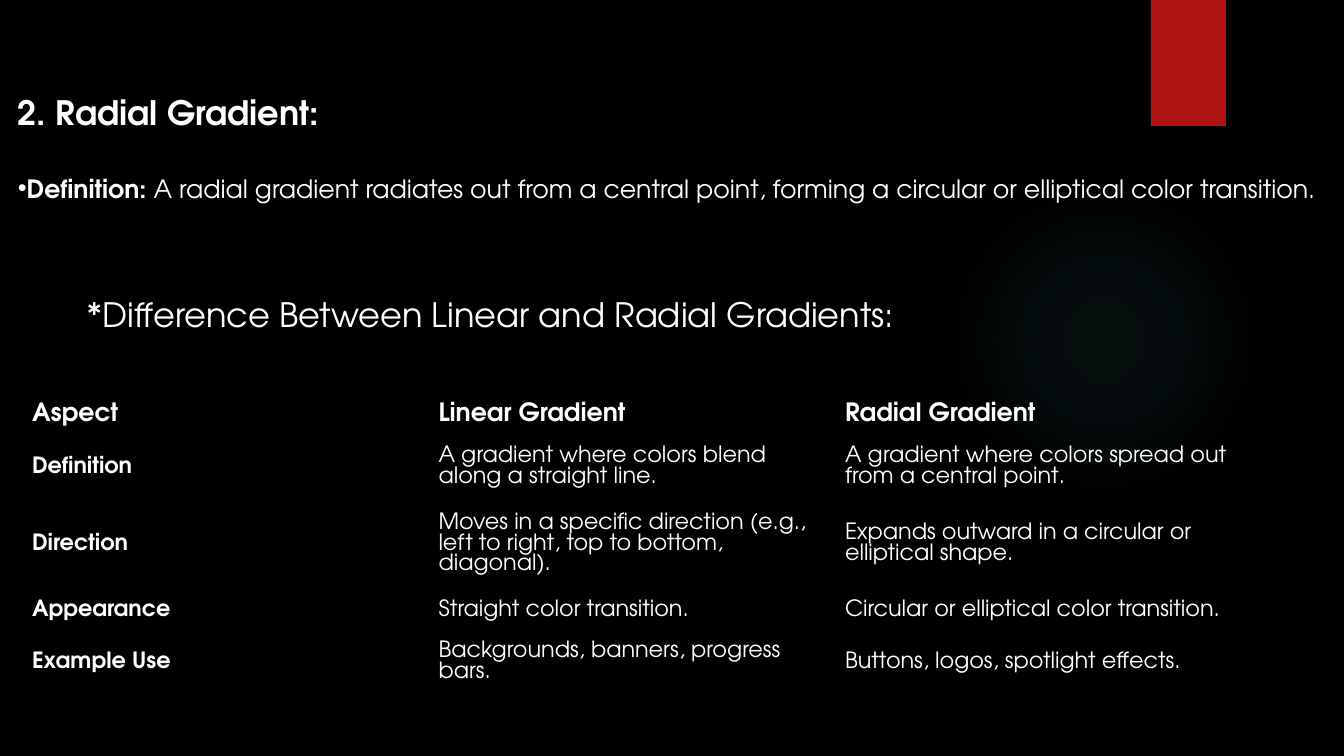
from dataclasses import dataclass

from lxml import etree
from pptx import Presentation
from pptx import util as u
from pptx.dml.color import RGBColor
from pptx.enum import shapes, text
from pptx.oxml import ns

HEADING = "2. Radial Gradient:"
DEFINITION = ("Definition:", " A radial gradient radiates out from a central point, "
              "forming a circular or elliptical color transition.")
COMPARISON_TITLE = "*Difference Between Linear and Radial Gradients:"
COMPARISON = [
    ("Aspect", "Linear Gradient", "Radial Gradient"),
    ("Definition", "A gradient where colors blend along a straight line.",
     "A gradient where colors spread out from a central point."),
    ("Direction", "Moves in a specific direction (e.g., left to right, top to bottom, diagonal).",
     "Expands outward in a circular or elliptical shape."),
    ("Appearance", "Straight color transition.", "Circular or elliptical color transition."),
    ("Example Use", "Backgrounds, banners, progress bars.", "Buttons, logos, spotlight effects."),
]
ROW_HEIGHTS = (36, 68, 86, 46, 58)
COLUMN_WIDTH = 406.5
GLOW_STOPS = [(0, 7), (36, 6), (69, 0)]  # position %, opacity %


@dataclass(frozen=True)
class Theme:
    font: str = "TeX Gyre Adventor"
    bullet_font: str = "Arial"
    background: str = "000000"
    ink: str = "FFFFFF"
    ribbon: str = "B01513"
    glow: str = "50B9C1"
    title: int = 24
    lead: int = 18
    body: int = 16


THEME = Theme()


def px(length):
    return u.Emu(round(length * 914400 / 100.8))


def box(*lengths):
    return [px(length) for length in lengths]


def write(paragraph, words, size=THEME.body, bold=False):
    run = paragraph.add_run()
    run.text = words
    run.font.name = THEME.font
    run.font.size = u.Pt(size)
    run.font.bold = bold
    run.font.color.rgb = RGBColor.from_string(THEME.ink)


def add_plain_shape(slide, kind, *place):
    shape = slide.shapes.add_shape(kind, *box(*place))
    shape.shadow.inherit = False
    shape.line.fill.background()
    return shape


def add_text_frame(slide, *place):
    frame = slide.shapes.add_textbox(*box(*place)).text_frame
    frame.word_wrap = True
    return frame


def fill_with_glow(shape):
    """Fill with a radial gradient that fades out from the centre."""
    shape.fill.background()
    stops = "".join(
        f'<a:gs pos="{position * 1000}"><a:srgbClr val="{THEME.glow}">'
        f'<a:alpha val="{opacity * 1000}"/></a:srgbClr></a:gs>'
        for position, opacity in GLOW_STOPS)
    gradient = etree.fromstring(
        f'<a:gradFill {ns.nsdecls("a")}><a:gsLst>{stops}</a:gsLst><a:path path="circle">'
        '<a:fillToRect l="50000" t="50000" r="50000" b="50000"/></a:path></a:gradFill>')
    properties = shape.fill._xPr
    properties.replace(properties.find(ns.qn("a:noFill")), gradient)


def add_bullet(paragraph):
    properties = paragraph._p.get_or_add_pPr()
    etree.SubElement(properties, ns.qn("a:buFont")).set("typeface", THEME.bullet_font)
    etree.SubElement(properties, ns.qn("a:buChar")).set("char", "•")


def hide_borders(cell):
    properties = cell._tc.get_or_add_tcPr()
    for position, side in enumerate(("lnL", "lnR", "lnT", "lnB")):
        border = etree.Element(ns.qn(f"a:{side}"), w="0")
        etree.SubElement(border, ns.qn("a:noFill"))
        properties.insert(position, border)


def add_comparison(slide):
    table = slide.shapes.add_table(
        len(COMPARISON), len(COMPARISON[0]),
        *box(22, 397, COLUMN_WIDTH * len(COMPARISON[0]), sum(ROW_HEIGHTS))).table
    table.first_row = table.horz_banding = False
    for column in table.columns:
        column.width = px(COLUMN_WIDTH)
    for r, aspects in enumerate(COMPARISON):
        table.rows[r].height = px(ROW_HEIGHTS[r])
        for c, words in enumerate(aspects):
            cell = table.cell(r, c)
            cell.fill.background()
            hide_borders(cell)
            cell.vertical_anchor = text.MSO_ANCHOR.MIDDLE
            cell.margin_top = cell.margin_bottom = px(2)
            write(cell.text_frame.paragraphs[0], words,
                  THEME.lead if r == 0 else THEME.body, r == 0 or c == 0)


def main():
    deck = Presentation()
    deck.slide_width, deck.slide_height = box(1344, 756)
    slide = deck.slides.add_slide(deck.slide_layouts[6])
    slide.background.fill.solid()
    slide.background.fill.fore_color.rgb = RGBColor.from_string(THEME.background)

    fill_with_glow(add_plain_shape(slide, shapes.MSO_SHAPE.OVAL, 949, 185, 310, 310))
    ribbon = add_plain_shape(slide, shapes.MSO_SHAPE.RECTANGLE, 1151, 0, 75, 126)
    ribbon.fill.solid()
    ribbon.fill.fore_color.rgb = RGBColor.from_string(THEME.ribbon)

    intro = add_text_frame(slide, 8, 87, 1345, 122)
    write(intro.paragraphs[0], HEADING, THEME.title, bold=True)
    definition = intro.add_paragraph()
    definition.space_before = u.Pt(29)
    add_bullet(definition)
    term, meaning = DEFINITION
    write(definition, term, THEME.lead, bold=True)
    write(definition, meaning, THEME.lead)

    add_comparison(slide)
    comparison_title = add_text_frame(slide, 78, 289, 1204, 50)
    write(comparison_title.paragraphs[0], COMPARISON_TITLE, THEME.title)
    deck.save("out.pptx")


if __name__ == "__main__":
    main()
